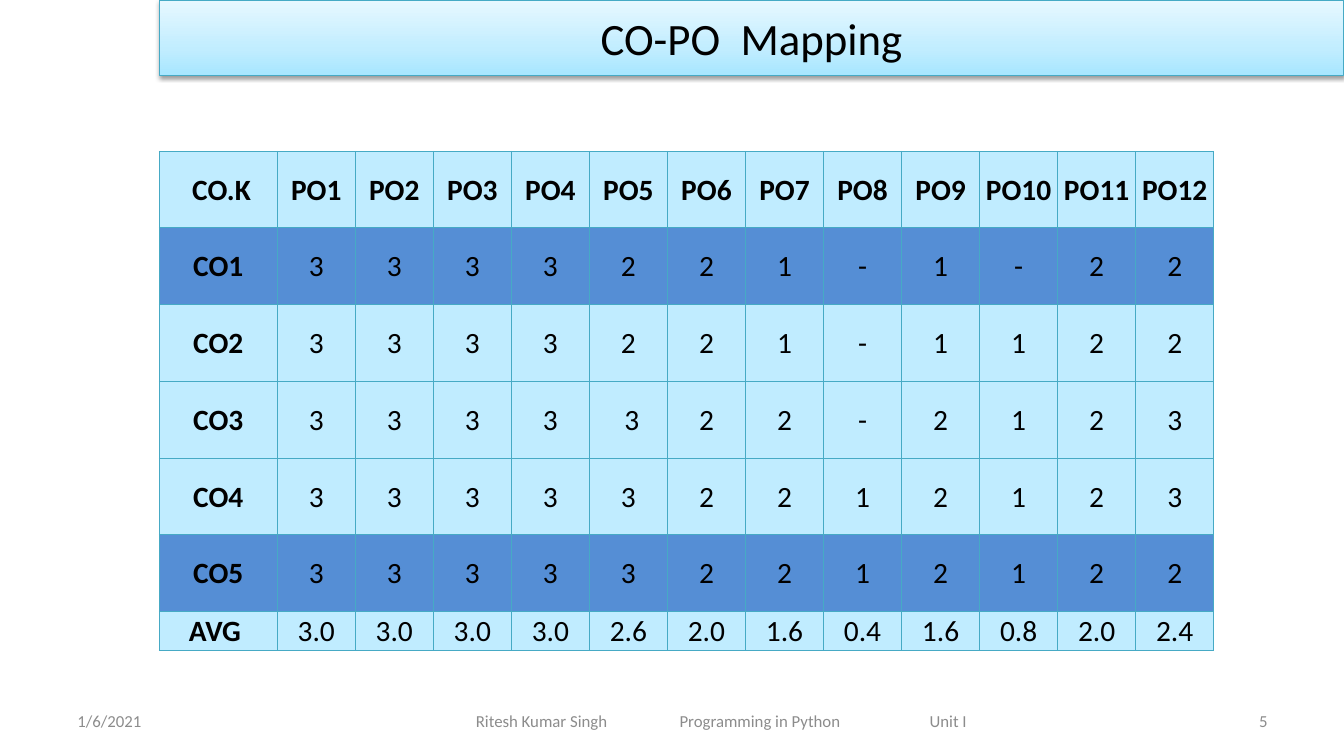
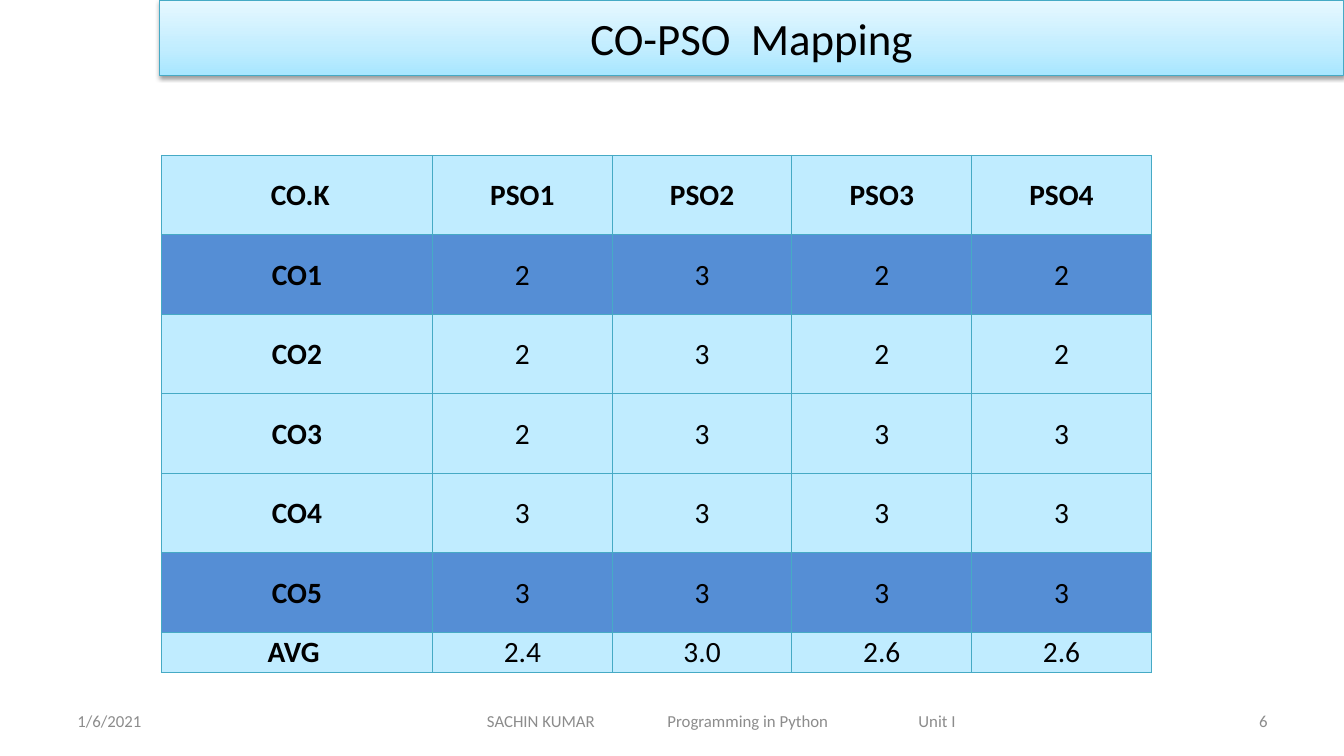
from lxml import etree
from pptx import Presentation
from pptx.dml.color import RGBColor
from pptx.enum import text
from pptx.oxml import parse_xml
from pptx.oxml.ns import nsdecls, qn
from pptx.util import Inches, Pt

BLACK = RGBColor(0x00, 0x00, 0x00)
GREY = RGBColor(0x8C, 0x8C, 0x8C)
TEAL = RGBColor(0x46, 0xAA, 0xC5)
PALE = RGBColor(0xC0, 0xEC, 0xFF)
BLUE = RGBColor(0x55, 0x8E, 0xD5)
BAND_STOPS = [
    (0, RGBColor(0xA7, 0xE6, 0xFF)),
    (35, RGBColor(0xC1, 0xED, 0xFF)),
    (100, RGBColor(0xE7, 0xF8, 0xFF)),
]
FONT = "Calibri"
LEFT, CENTER, RIGHT = text.PP_ALIGN.LEFT, text.PP_ALIGN.CENTER, text.PP_ALIGN.RIGHT
FOOTER_LEFT = 4.42
BLUE_ROWS = (1, 5)

mappings = [
    {
        "title": "CO-PO  Mapping",
        "author": "Ritesh Kumar Singh",
        "footer_stops": (4.72, 6.74, 9.22),
        "number": "5",
        "box": (1.58, 1.5, 10.46, 4.95),
        "first_column": 1.17,
        "rows": [
            "\u00a0CO.K,PO1,PO2,PO3,PO4,PO5,PO6,PO7,PO8,PO9,PO10,PO11,PO12",
            "CO1,3,3,3,3,2,2,1,-,1,-,2,2",
            "CO2,3,3,3,3,2,2,1,-,1,1,2,2",
            "CO3,3,3,3,3, 3,2,2,-,2,1,2,3",
            "CO4,3,3,3,3,3,2,2,1,2,1,2,3",
            "CO5,3,3,3,3,3,2,2,1,2,1,2,2",
            "AVG\u00a0,3.0,3.0,3.0,3.0,2.6,2.0,1.6,0.4,1.6,0.8,2.0,2.4",
        ],
    },
    {
        "title": "CO-PSO  Mapping",
        "author": "SACHIN KUMAR",
        "footer_stops": (4.83, 6.62, 9.11),
        "number": "6",
        "box": (1.6, 1.54, 9.82, 5.13),
        "first_column": 2.69,
        "rows": [
            "\u00a0CO.K,PSO1,PSO2,PSO3,PSO4",
            "CO1,2,3,2,2",
            "CO2,2,3,2,2",
            "CO3,2,3,3,3",
            "CO4,3,3,3,3",
            "CO5,3,3,3,3",
            "AVG\u00a0,2.4,3.0,2.6,2.6",
        ],
    },
]


def write(text_frame, words, size, color, alignment, bold=False):
    text_frame.text = words
    paragraph = text_frame.paragraphs[0]
    paragraph.alignment = alignment
    font = paragraph.runs[0].font
    font.name, font.size, font.bold = FONT, Pt(size), bold
    font.color.rgb = color
    return paragraph


def add_footer(slide, left, width, words, alignment):
    box = slide.shapes.add_textbox(Inches(left), Inches(6.95), Inches(width), Inches(0.4))
    box.text_frame.word_wrap = True
    box.text_frame.vertical_anchor = text.MSO_ANCHOR.MIDDLE
    return box.text_frame, write(box.text_frame, words, 12, GREY, alignment)


presentation = Presentation()
presentation.slide_width = Inches(13.33)
presentation.slide_height = Inches(7.5)

for mapping in mappings:
    slide = presentation.slides.add_slide(presentation.slide_layouts[5])

    title = slide.shapes.title
    title.left, title.top = Inches(1.58), Inches(0)
    title.width, title.height = Inches(11.75), Inches(0.75)
    title.text_frame.vertical_anchor = text.MSO_ANCHOR.MIDDLE
    write(title.text_frame, mapping["title"], 32, BLACK, CENTER)
    title.line.color.rgb = TEAL
    title.line.width = Pt(0.75)
    stops = "".join(
        f'<a:gs pos="{position * 1000}"><a:srgbClr val="{color}"/></a:gs>'
        for position, color in BAND_STOPS
    )
    properties = title._element.spPr
    properties.find(qn("a:ln")).addprevious(parse_xml(
        f'<a:gradFill {nsdecls("a")} rotWithShape="1"><a:gsLst>{stops}</a:gsLst>'
        '<a:lin ang="16200000" scaled="0"/></a:gradFill>'
    ))
    properties.append(parse_xml(
        f'<a:effectLst {nsdecls("a")}><a:outerShdw blurRad="{Pt(3.1)}" dist="{Pt(1.6)}" '
        f'dir="5400000" rotWithShape="0"><a:srgbClr val="{BLACK}"><a:alpha val="38000"/>'
        '</a:srgbClr></a:outerShdw></a:effectLst>'
    ))

    add_footer(slide, 0.67, 3.11, "1/6/2021", LEFT)
    words = "\t".join([mapping["author"], "Programming in Python", "Unit I"])
    frame, paragraph = add_footer(slide, FOOTER_LEFT, 5.5, words, LEFT)
    start, *tab_stops = mapping["footer_stops"]
    frame.margin_left = Inches(start - FOOTER_LEFT)
    tab_list = etree.SubElement(paragraph._p.get_or_add_pPr(), qn("a:tabLst"))
    for stop in tab_stops:
        etree.SubElement(tab_list, qn("a:tab"), pos=str(Inches(stop - start)), algn="l")
    add_footer(slide, 9.56, 3.11, mapping["number"], RIGHT)

    rows = [row.split(",") for row in mapping["rows"]]
    left, top, width, height = mapping["box"]
    column_count = len(rows[0])
    table = slide.shapes.add_table(
        len(rows), column_count, Inches(left), Inches(top), Inches(width), Inches(height)
    ).table
    table.first_row = table.horz_banding = False
    first_column = mapping["first_column"]
    for column in table.columns:
        column.width = Inches((width - first_column) / (column_count - 1))
    table.columns[0].width = Inches(first_column)
    # The average row is half as tall as the others
    row_height = height / (len(rows) - 0.5)
    for row in table.rows:
        row.height = Inches(row_height)
    table.rows[len(rows) - 1].height = Inches(row_height / 2)

    for row_index, row in enumerate(rows):
        for column_index, value in enumerate(row):
            cell = table.cell(row_index, column_index)
            cell.margin_left = cell.margin_right = cell.margin_top = Inches(0.01)
            cell.margin_bottom = 0
            cell.vertical_anchor = text.MSO_ANCHOR.MIDDLE
            bold = row_index == 0 or column_index == 0
            write(cell.text_frame, value, 21, BLACK, CENTER, bold)
            for side in ("lnL", "lnR", "lnT", "lnB"):
                cell._tc.get_or_add_tcPr().append(parse_xml(
                    f'<a:{side} {nsdecls("a")} w="{Pt(0.75)}"><a:solidFill>'
                    f'<a:srgbClr val="{TEAL}"/></a:solidFill></a:{side}>'
                ))
            cell.fill.solid()
            cell.fill.fore_color.rgb = BLUE if row_index in BLUE_ROWS else PALE

presentation.save("out.pptx")
